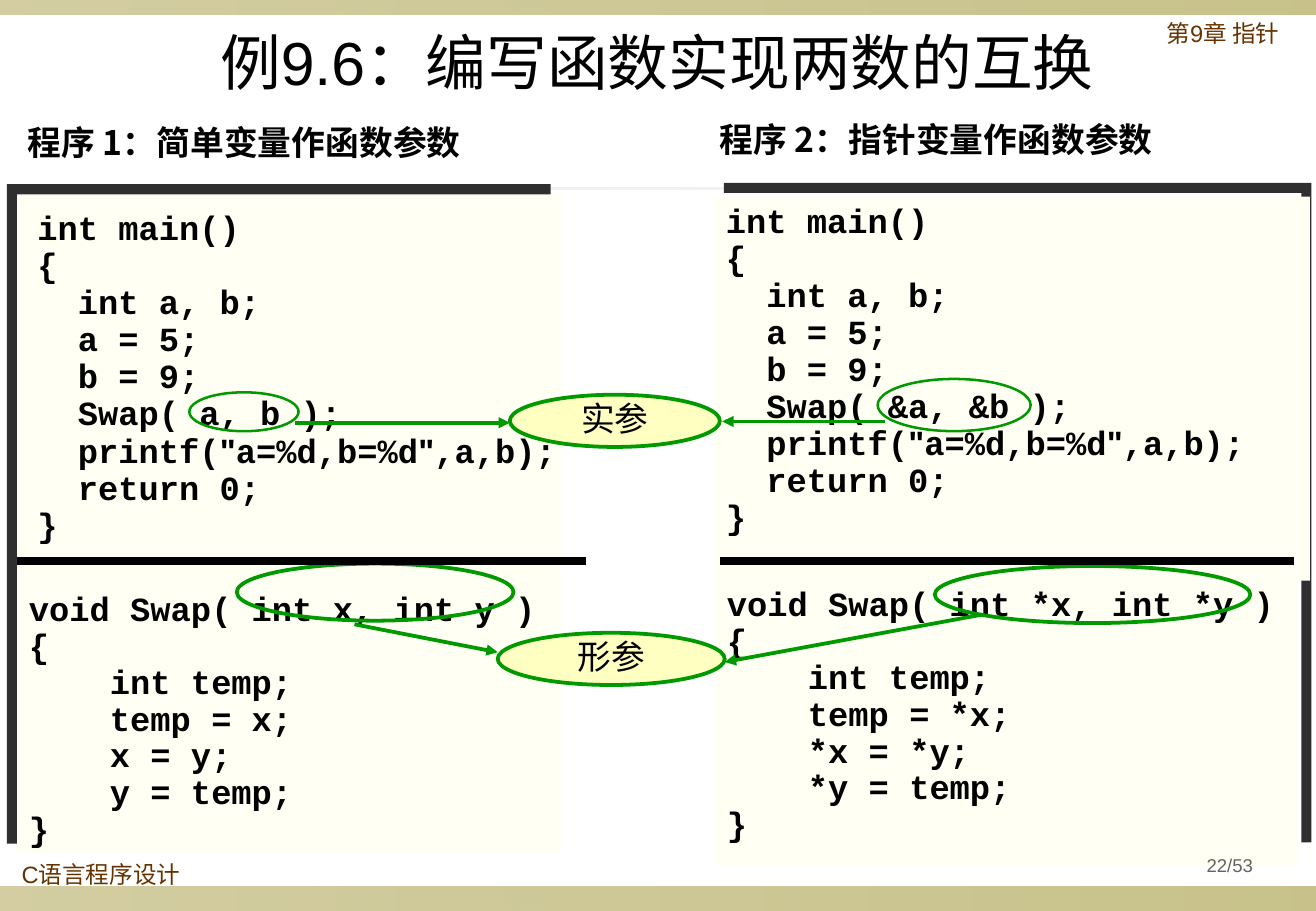
from pptx import Presentation
from pptx.dml.color import RGBColor
from pptx.enum.shapes import MSO_CONNECTOR, MSO_SHAPE
from pptx.enum.text import MSO_ANCHOR, PP_ALIGN
from pptx.oxml.ns import qn
from pptx.util import Inches, Pt
from lxml import etree

RECT, OVAL = MSO_SHAPE.RECTANGLE, MSO_SHAPE.OVAL
LINE = MSO_CONNECTOR.STRAIGHT
TOP, MIDDLE = MSO_ANCHOR.TOP, MSO_ANCHOR.MIDDLE
LEFT, CENTER = PP_ALIGN.LEFT, PP_ALIGN.CENTER

THEME = {
    "band": "918415", "rule": "DCD9CC", "brown": "663300", "gray": "636363",
    "black": "000000", "white": "FFFFFF", "cream": "FFFFF4",
    "label": "FFFFC2", "green": "009900", "shade": "2F2F2F",
    "sans": "Arial", "mono": "Courier New", "cjk": "Noto Sans CJK SC",
    "title": 36, "body": 20, "small": 14, "page": 11,
}

MAIN = """int main()
{
  int a, b;
  a = 5;
  b = 9;
  Swap( %s );
  printf("a=%%d,b=%%d",a,b);
  return 0;
}"""
SWAP = """void Swap( %s )
{
    int temp;
    temp = %s;
    %s = %s;
    %s = temp;
}"""

# left, top, width, height, fill, first and last opacity
BARS = [
    (0, 7.3, 10.84, 0.2, "band", 40, 50),
    (0, 0, 10.84, 0.12, "band", 40, 50),
    (0.54, 1.54, 9.75, 0.02, "rule", 50, 20),
]
# place, fill, shadow angle
PANELS = [
    ((5.88, 1.59, 4.84, 5.43), "white", 315),
    ((0.14, 1.6, 4.48, 5.43), "cream", 225),
]
# place, fill, code, top inset, line pitch in points
CODES = [
    ((5.89, 4.37, 4.8, 2.76), "cream",
     SWAP % ("int *x, int *y", "*x", "*x", "*y", "*y"), 0.46, 21.7),
    ((5.88, 1.62, 4.91, 3.16), "cream", MAIN % "&a, &b", 0.05, 22),
    ((0.14, 4.1, 4.45, 3.03), None,
     SWAP % ("int x, int y", "x", "x", "y", "y"), 0.77, 21.7),
    ((0.21, 1.68, 4.6, 2.85), None, MAIN % "a, b", 0.05, 22),
]
# place, line width, label
RINGS = [
    ((1.56, 3.23, 0.9, 0.32), 1.5, None),
    ((7.23, 3.12, 1.26, 0.43), 1.5, None),
    ((4.2, 3.25, 1.73, 0.43), 2.25, "实参"),
    ((1.95, 4.64, 2.28, 0.47), 2.25, None),
    ((7.7, 4.66, 2.6, 0.47), 2.25, None),
    ((4.1, 5.21, 1.87, 0.43), 2.25, "形参"),
]
# tip, tail
ARROWS = [
    ((4.2, 3.48), (2.43, 3.48)),
    ((5.95, 3.47), (7.29, 3.47)),
    ((5.97, 5.45), (8.09, 5.06)),
    ((4.1, 5.37), (2.92, 5.14)),
]
RULES = [((0.14, 4.62), (4.83, 4.62)), ((5.93, 4.62), (10.66, 4.62))]

HEAD = {"face": "cjk", "size": "body", "bold": True}
NOTE = {"size": "small", "color": "brown"}
TEXTS = [
    ((0.08, 7.06, 1.56, 0.32), "C语言程序设计", NOTE),
    ((9.51, 0.13, 1.15, 0.39), "第9章 指针", NOTE),
    ((0.37, 0.25, 10.08, 0.61), "例9.6：编写函数实现两数的互换",
     {"size": "title", "align": CENTER, "pitch": 0.85}),
    ((0.13, 0.99, 5.05, 0.4), "程序 1：简单变量作函数参数", HEAD),
    ((5.83, 0.97, 5.01, 0.4), "程序 2：指针变量作函数参数", HEAD),
    ((9.59, 6.98, 1.08, 0.31), "22/53",
     {"size": "page", "color": "gray", "align": CENTER, "anchor": MIDDLE}),
]


def tint(name):
    return RGBColor.from_string(THEME[name])


def add_node(parent, tag, **attrs):
    return etree.SubElement(parent, qn(tag), attrs)


def add_run(para, text, face, size, color, bold):
    run = para.add_run()
    run.text = text
    form = {"name": THEME[face], "size": Pt(THEME[size]), "bold": bold}
    for key, value in form.items():
        setattr(run.font, key, value)
    run.font.color.rgb = tint(color)
    if face != "mono":
        latin = run.font._element.find(qn("a:latin"))
        latin.addnext(etree.Element(qn("a:ea"), typeface=THEME["cjk"]))


def write(shape, text, face="sans", size="body", color="black", bold=False,
          align=LEFT, anchor=TOP, pitch=0.9, inset=0.05, wrap=True):
    frame = shape.text_frame
    form = {"word_wrap": wrap, "vertical_anchor": anchor,
            "margin_left": Inches(0.1), "margin_right": Inches(0.1),
            "margin_top": Inches(inset), "margin_bottom": Inches(0.05)}
    for key, value in form.items():
        setattr(frame, key, value)
    for row, line in enumerate(text.split("\n")):
        para = frame.add_paragraph() if row else frame.paragraphs[0]
        para.alignment, para.line_spacing = align, pitch
        parts = line.split('"')
        for spot, part in enumerate(parts):
            if spot:
                add_run(para, '"', "sans", size, color, bold)
            if part:
                add_run(para, part, face, size, color, bold)


def add_box(slide, place, fill=None, kind=RECT):
    shape = slide.shapes.add_shape(kind, *map(Inches, place))
    shape.shadow.inherit = False
    shape.line.fill.background()
    if fill:
        shape.fill.solid()
        shape.fill.fore_color.rgb = tint(fill)
    else:
        shape.fill.background()
    return shape


def add_text(slide, place, text, form):
    write(slide.shapes.add_textbox(*map(Inches, place)), text, **form)


def add_bar(slide, place, color, fades):
    bar = add_box(slide, place)
    bar.fill.gradient()
    bar.fill.gradient_angle = 0
    for stop, fade in zip(bar.fill.gradient_stops, fades):
        stop.color.rgb = tint(color)
    stops = bar._element.spPr.find(qn("a:gradFill")).iter(qn("a:srgbClr"))
    for node, fade in zip(stops, fades):
        add_node(node, "a:alpha", val=str(fade * 1000))


def cast(shape, angle):
    """Give the shape a hard shadow towards the angle."""
    effects = shape._element.spPr.find(qn("a:effectLst"))
    shade = add_node(effects, "a:outerShdw", dist=str(Pt(8.5)),
                     dir=str(angle * 60000), algn="ctr", rotWithShape="0")
    add_node(shade, "a:srgbClr", val=THEME["shade"])


def add_line(slide, start, end, color, width, arrow=False):
    line = slide.shapes.add_connector(LINE, *map(Inches, start + end))
    line.line.color.rgb = tint(color)
    line.line.width = Pt(width)
    if arrow:
        add_node(line.line._get_or_add_ln(), "a:headEnd", type="triangle")
    add_node(line._element.spPr, "a:effectLst")


def main():
    deck = Presentation()
    deck.slide_width, deck.slide_height = Inches(10.84), Inches(7.5)
    slide = deck.slides.add_slide(deck.slide_layouts[6])
    for *place, color, first, last in BARS:
        add_bar(slide, place, color, (first, last))
    for place, text, form in TEXTS[:2]:
        add_text(slide, place, text, form)

    # The right panel lies under its code; the left one follows it.
    for (place, fill, angle), codes in zip(PANELS, (CODES[:2], CODES[2:])):
        cast(add_box(slide, place, fill), angle)
        for spot, shade, text, inset, pitch in codes:
            form = {"face": "mono", "bold": True, "inset": inset,
                    "pitch": Pt(pitch)}
            if shade:
                write(add_box(slide, spot, shade), text, **form)
            else:
                add_text(slide, spot, text, form | {"wrap": False})

    for place, width, label in RINGS:
        ring = add_box(slide, place, "label" if label else None, OVAL)
        ring.line.color.rgb = tint("green")
        ring.line.width = Pt(width)
        if label:
            write(ring, label, face="cjk", align=CENTER, anchor=MIDDLE,
                  wrap=False)
    for tip, tail in ARROWS:
        add_line(slide, tip, tail, "green", 2.25, arrow=True)
    for start, end in RULES:
        add_line(slide, start, end, "black", 4.5)
    for place, text, form in TEXTS[2:]:
        add_text(slide, place, text, form)
    deck.save("out.pptx")


if __name__ == "__main__":
    main()
